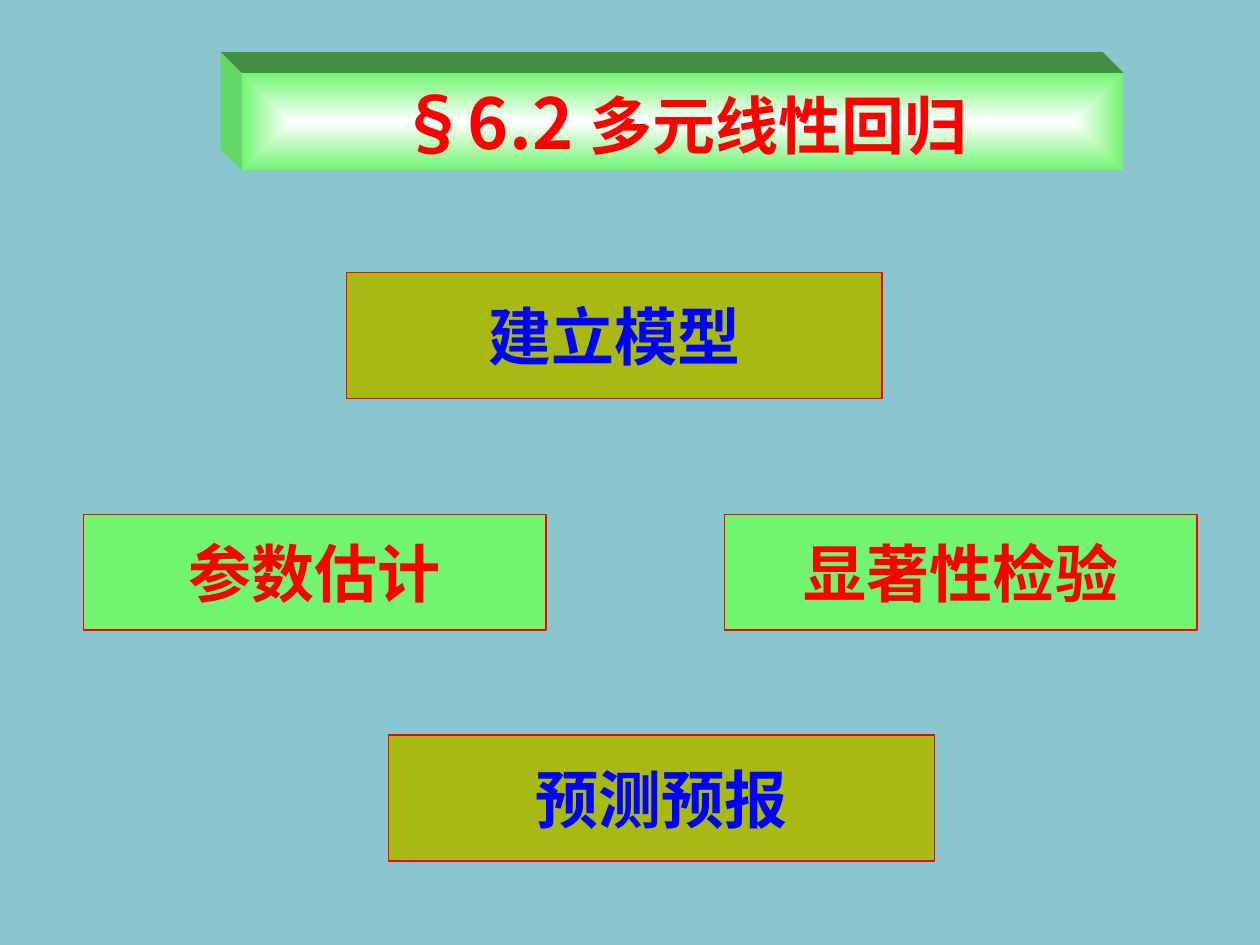
from dataclasses import dataclass
from lxml import etree
from pptx import Presentation
from pptx.dml.color import RGBColor as Rgb
from pptx.enum.shapes import MSO_SHAPE as Preset
from pptx.enum.text import MSO_ANCHOR as Anchor, PP_ALIGN as Align
from pptx.oxml.ns import qn
from pptx.util import Cm, Pt


@dataclass(frozen=True)
class Theme:
    font: str = "Noto Sans CJK SC"
    backdrop: Rgb = Rgb(0x8A, 0xC6, 0xCD)
    olive: Rgb = Rgb(0xA9, 0xB9, 0x13)
    green: Rgb = Rgb(0x71, 0xF5, 0x71)
    side_green: Rgb = Rgb(0x64, 0xD8, 0x64)
    top_green: Rgb = Rgb(0x43, 0x90, 0x43)
    white: Rgb = Rgb(0xFF, 0xFF, 0xFF)
    red: Rgb = Rgb(0xFF, 0, 0)
    blue: Rgb = Rgb(0, 0, 0xFF)
    number_size: Pt = Pt(40)
    text_size: Pt = Pt(36)
    border: Pt = Pt(0.75)


theme = Theme()


def write_centred(shape, runs, color, wrap):
    frame = shape.text_frame
    frame.word_wrap = wrap
    frame.vertical_anchor = Anchor.MIDDLE
    para = frame.paragraphs[0]
    para.alignment = Align.CENTER
    for text, size in runs:
        span = para.add_run()
        span.text = text
        for name, value in {"name": theme.font, "size": size, "bold": True}.items():
            setattr(span.font, name, value)
        span.font.color.rgb = color
        east_asian = etree.SubElement(span.font._element, qn("a:ea"))
        east_asian.set("typeface", theme.font)


deck = Presentation()
deck.slide_width, deck.slide_height = Cm(25.4), Cm(19.05)
page = deck.slides.add_slide(deck.slide_layouts[6])
page.background.fill.solid()
page.background.fill.fore_color.rgb = theme.backdrop

left, top, width, height, depth = 4.87, 1.47, 17.78, 1.96, 0.42
right, bottom = left + width, top + height
back_left, back_top = left - depth, top - depth
faces = [
    (theme.top_green, [(back_left, back_top), (right - depth, back_top), (right, top), (left, top)]),
    (theme.side_green, [(back_left, back_top), (left, top), (left, bottom), (back_left, bottom - depth)]),
]
for color, corners in faces:
    points = [(Cm(x), Cm(y)) for x, y in corners]
    builder = page.shapes.build_freeform(*points[0])
    builder.add_line_segments(points[1:], close=True)
    face = builder.convert_to_shape()
    face.shadow.inherit = False
    face.fill.solid()
    face.fill.fore_color.rgb = color
    face.line.fill.background()

banner = page.shapes.add_shape(Preset.RECTANGLE, Cm(left), Cm(top), Cm(width), Cm(height))
banner.shadow.inherit = False
banner.line.fill.background()
banner.fill.gradient()
for stop, color in zip(banner.fill.gradient_stops, (theme.white, theme.green)):
    stop.color.rgb = color
gradient = banner._element.spPr.find(qn("a:gradFill"))
gradient.remove(gradient.find(qn("a:lin")))
shading = etree.SubElement(gradient, qn("a:path"))
shading.set("path", "shape")
centre = etree.SubElement(shading, qn("a:fillToRect"))
for side in "ltrb":
    centre.set(side, "50000")
write_centred(banner, [("§6.2 ", theme.number_size), ("多元线性回归", theme.text_size)], theme.red, True)

steps = [
    ("建立模型", 6.98, 5.5, 10.8, 2.54, theme.olive, theme.blue),
    ("参数估计", 1.69, 10.37, 9.32, 2.33, theme.green, theme.red),
    ("显著性检验", 14.6, 10.37, 9.53, 2.33, theme.green, theme.red),
    ("预测预报", 7.83, 14.82, 11.01, 2.54, theme.olive, theme.blue),
]
for label, x, y, wide, high, fill, color in steps:
    button = page.shapes.add_shape(Preset.ACTION_BUTTON_CUSTOM, Cm(x), Cm(y), Cm(wide), Cm(high))
    button.shadow.inherit = False
    button.fill.solid()
    button.fill.fore_color.rgb = fill
    button.line.color.rgb = theme.red
    button.line.width = theme.border
    write_centred(button, [(label, theme.text_size)], color, False)

deck.save("out.pptx")
